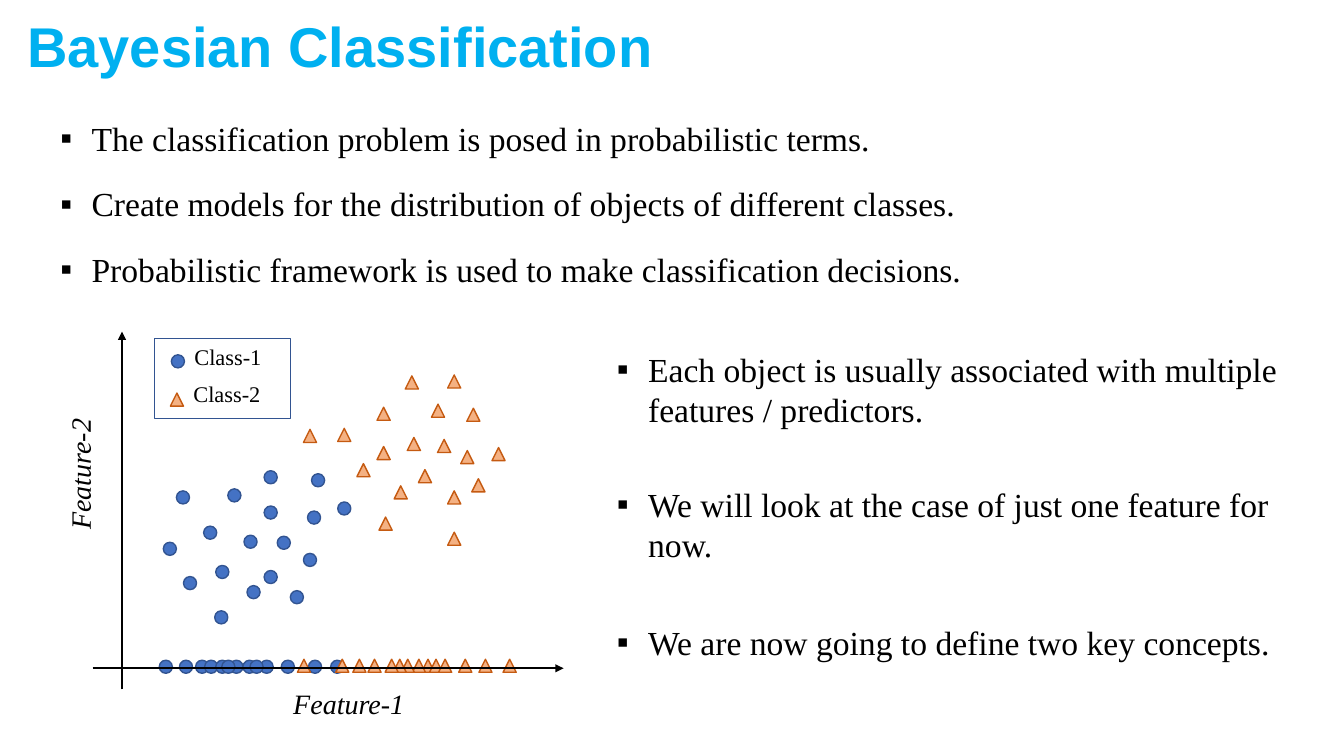
from lxml.etree import SubElement
from pptx import Presentation
from pptx.dml.color import RGBColor
from pptx.enum.shapes import MSO_CONNECTOR, MSO_SHAPE
from pptx.enum.text import MSO_ANCHOR, PP_ALIGN
from pptx.oxml.ns import qn
from pptx.util import Inches, Pt

SERIF = "Times New Roman"
MARKER_SIZE = 0.13
CLASS_1 = (MSO_SHAPE.OVAL, "4472C4", "325491")
CLASS_2 = (MSO_SHAPE.ISOSCELES_TRIANGLE, "F4B183", "C55A11")

# Left and top of every object in the feature plane
CLASS_1_POINTS = [
    (1.62, 5.38), (2.14, 5.61), (2.02, 5.22), (2.42, 5.31), (1.75, 4.87), (2.26, 4.85),
    (2.75, 5.32), (2.62, 5.66), (2.62, 5.02), (1.82, 5.72), (2.13, 6.06), (2.88, 5.86),
    (3.01, 5.49), (3.05, 5.07), (2.62, 4.67), (3.09, 4.7), (3.35, 4.98), (2.45, 5.81),
]
CLASS_2_POINTS = [
    (3.35, 4.25), (3.74, 4.43), (3.54, 4.6), (3.01, 4.26), (3.74, 4.04), (4.04, 4.34),
    (3.91, 4.82), (4.15, 4.66), (4.44, 4.87), (4.57, 4.47), (4.34, 4.36), (4.28, 4.01),
    (3.76, 5.13), (4.44, 5.28), (4.68, 4.75), (4.88, 4.44), (4.63, 4.05), (4.02, 3.73),
    (4.44, 3.72),
]
# Left of every object projected onto the Feature-1 axis
CLASS_1_PROJECTED = [1.58, 1.94, 1.78, 2.03, 2.14, 2.28, 2.41, 2.58, 2.79, 3.06, 3.28,
                     2.2, 2.48]
CLASS_2_PROJECTED = [4.18, 4.26, 4.09, 3.98, 3.9, 3.65, 3.33, 2.95, 3.82, 3.5, 4.35,
                     4.55, 4.75, 4.99]


def color(hex_code):
    return RGBColor.from_string(hex_code)


def add_run(paragraph, text, size, font=SERIF, hex_code="000000", bold=False, italic=False):
    run = paragraph.add_run()
    run.text = text
    run.font.name = font
    run.font.size = Pt(size)
    run.font.bold = bold
    run.font.italic = italic
    run.font.color.rgb = color(hex_code)


def add_title(slide, text):
    title = slide.shapes.title
    title.left, title.top = Inches(0.17), Inches(0.06)
    title.width, title.height = Inches(10.31), Inches(0.77)
    title.text_frame.vertical_anchor = MSO_ANCHOR.MIDDLE
    paragraph = title.text_frame.paragraphs[0]
    paragraph.alignment = PP_ALIGN.LEFT
    add_run(paragraph, text, 40, "Arial", "00B0F0", bold=True)


def add_label(shapes, text, left, top, width, height, size, italic=False, rotation=0):
    label = shapes.add_textbox(Inches(left), Inches(top), Inches(width), Inches(height))
    label.rotation = rotation
    label.text_frame.word_wrap = True
    paragraph = label.text_frame.paragraphs[0]
    add_run(paragraph, text, size, italic=italic)
    return paragraph


def add_bullet(shapes, text, left, top, width, height):
    paragraph = add_label(shapes, text, left, top, width, height, 24)
    properties = paragraph._p.get_or_add_pPr()
    properties.set("marL", str(Inches(0.31)))
    properties.set("indent", str(-Inches(0.31)))
    SubElement(properties, qn("a:buFont")).set("typeface", "Arial")
    SubElement(properties, qn("a:buChar")).set("char", "▪")


def add_marker(shapes, style, left, top):
    outline, fill, line = style
    marker = shapes.add_shape(outline, Inches(left), Inches(top),
                              Inches(MARKER_SIZE), Inches(MARKER_SIZE))
    marker.shadow.inherit = False
    marker.fill.solid()
    marker.fill.fore_color.rgb = color(fill)
    marker.line.color.rgb = color(line)
    marker.line.width = Pt(1)


def add_axis(shapes, start_x, start_y, end_x, end_y):
    axis = shapes.add_connector(MSO_CONNECTOR.STRAIGHT, Inches(start_x), Inches(start_y),
                                Inches(end_x), Inches(end_y))
    axis.line.color.rgb = color("000000")
    axis.line.width = Pt(1.5)
    SubElement(axis.line._get_or_add_ln(), qn("a:tailEnd")).set("type", "triangle")
    SubElement(axis._element.spPr, qn("a:effectLst"))


def add_legend(shapes):
    frame = shapes.add_shape(MSO_SHAPE.RECTANGLE, Inches(1.53), Inches(3.36),
                             Inches(1.35), Inches(0.79))
    frame.shadow.inherit = False
    frame.fill.background()
    frame.line.color.rgb = color("325491")
    frame.line.width = Pt(1)
    add_marker(shapes, CLASS_1, 1.7, 3.52)
    add_marker(shapes, CLASS_2, 1.69, 3.9)
    add_label(shapes, "Class-1", 1.83, 3.36, 0.99, 0.44, 16)
    add_label(shapes, "Class-2", 1.82, 3.72, 0.99, 0.44, 16)


def main():
    presentation = Presentation()
    presentation.slide_width, presentation.slide_height = Inches(13.33), Inches(7.5)
    slide = presentation.slides.add_slide(presentation.slide_layouts[5])
    add_title(slide, "Bayesian Classification")

    # Introductory bullets
    for row, text in enumerate([
        "The classification problem is posed in probabilistic terms.",
        "Create models for the distribution of objects of different classes.",
        "Probabilistic framework is used to make classification decisions.",
    ]):
        add_bullet(slide.shapes, text, 0.5, 1.12 + 0.65 * row, 9.68, 0.5)

    # Objects projected onto one feature, behind the axis
    projection = slide.shapes.add_group_shape().shapes
    for style, lefts, top in ((CLASS_1, CLASS_1_PROJECTED, 6.55),
                              (CLASS_2, CLASS_2_PROJECTED, 6.54)):
        for left in lefts:
            add_marker(projection, style, left, top)

    # Feature plane with axes, objects and legend
    plane = slide.shapes.add_group_shape().shapes
    add_axis(plane, 1.21, 6.84, 1.21, 3.29)
    add_axis(plane, 0.92, 6.63, 5.59, 6.63)
    for style, points in ((CLASS_1, CLASS_1_POINTS), (CLASS_2, CLASS_2_POINTS)):
        for left, top in points:
            add_marker(plane, style, left, top)
    add_legend(plane)
    add_label(plane, "Feature-1", 2.81, 6.76, 1.31, 0.44, 20, italic=True)
    add_label(plane, "Feature-2", 0.14, 4.48, 1.31, 0.44, 20, italic=True, rotation=270)

    # Bullets beside the plot
    for text, top, height in (
        ("Each object is usually associated with multiple features / predictors.", 3.41, 0.91),
        ("We will look at the case of just one feature for now.", 4.75, 0.91),
        ("We are now going to define two key concepts.", 6.12, 0.5),
    ):
        add_bullet(slide.shapes, text, 6.02, top, 6.75, height)

    presentation.save("out.pptx")


if __name__ == "__main__":
    main()
